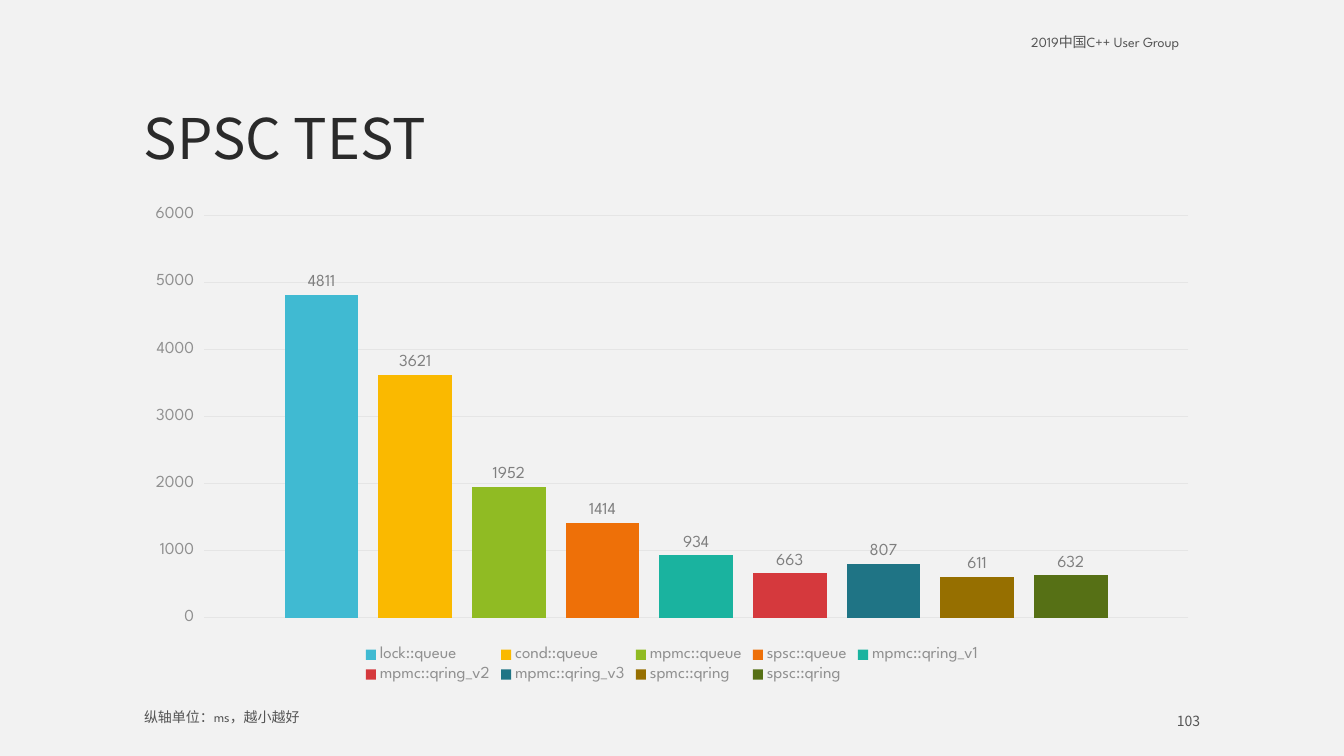
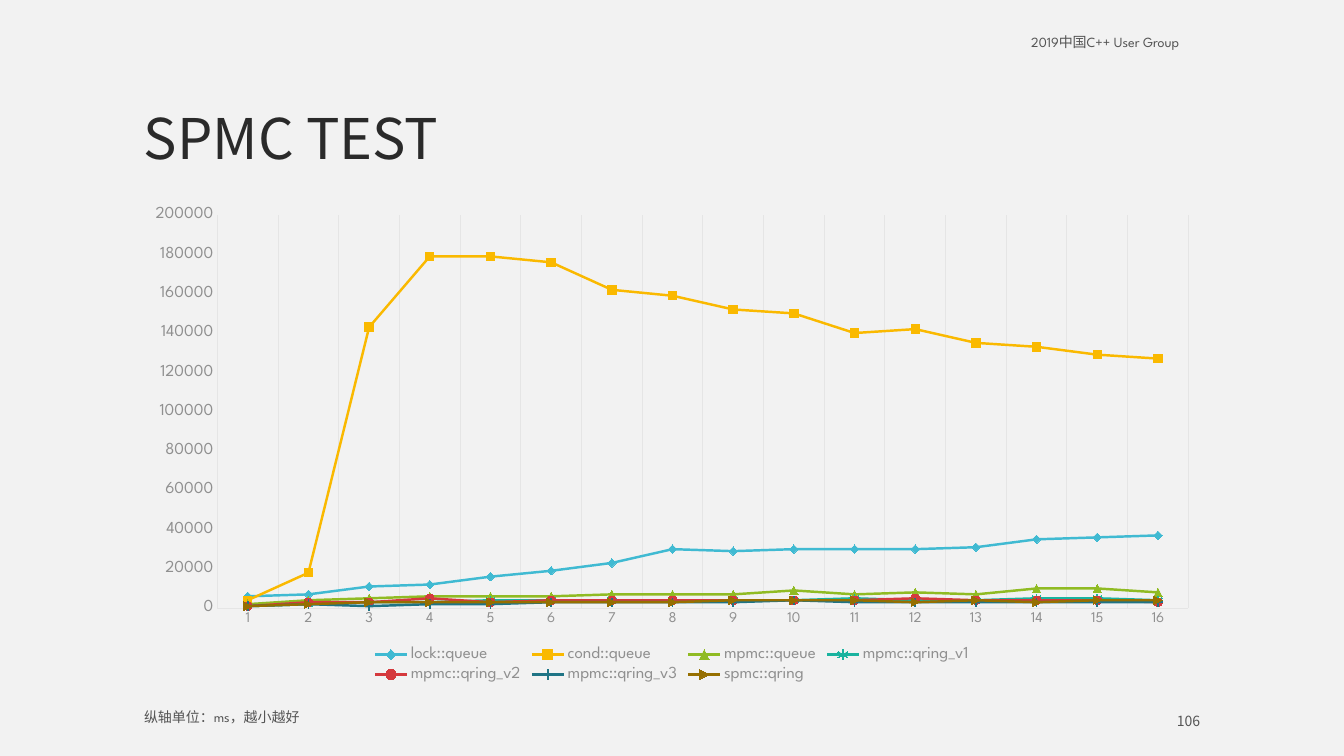
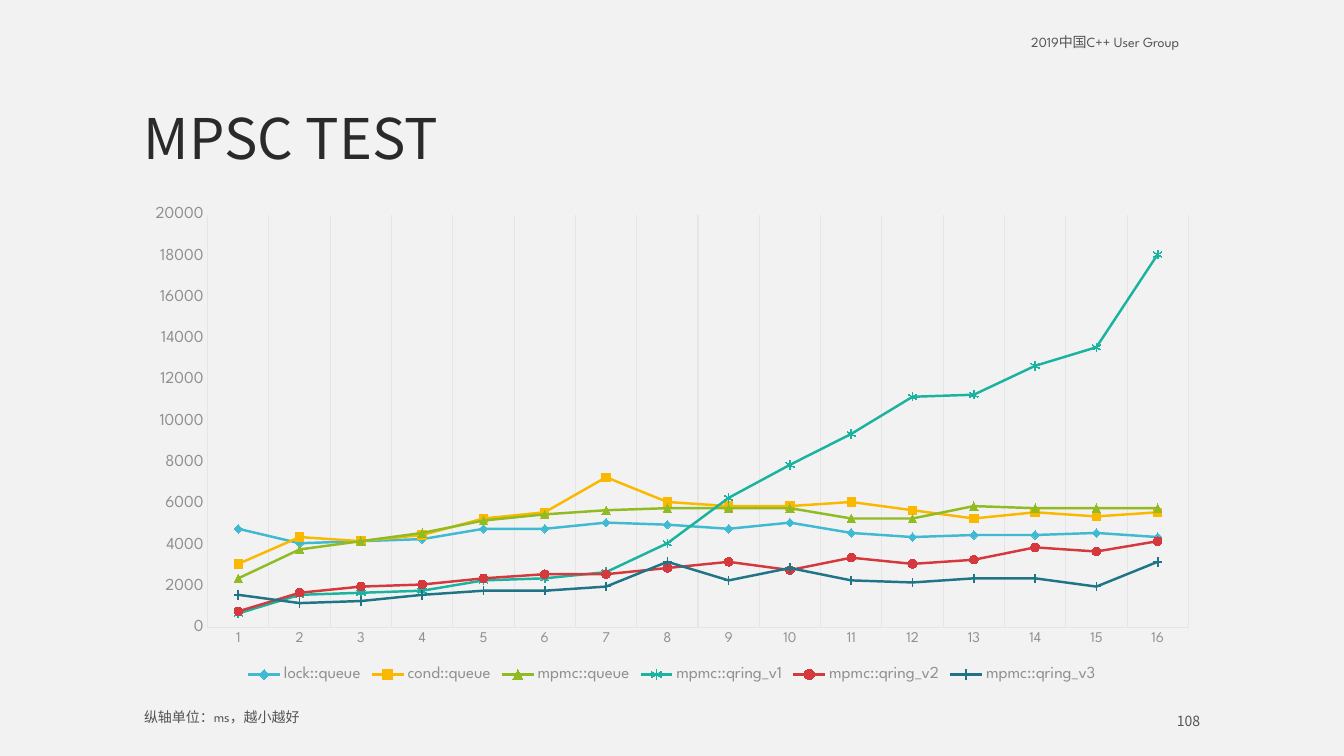
import lxml.etree
import pptx
import pptx.chart.data
import pptx.dml.color
import pptx.enum.chart
import pptx.enum.text
import pptx.oxml.ns
import pptx.util

Inches = pptx.util.Inches
Pt = pptx.util.Pt
MARK = pptx.enum.chart.XL_MARKER_STYLE
TICK = pptx.enum.chart.XL_TICK_MARK
KIND = pptx.enum.chart.XL_CHART_TYPE
ALIGN = pptx.enum.text.PP_ALIGN
ANCHOR = pptx.enum.text.MSO_ANCHOR

COLORS = {
    "back": "F2F2F2", "title": "2A2A2A", "text": "545454",
    "axis": "909090", "label": "7F7F7F", "grid": "E5E5E5",
    "lock::queue": "40BAD2", "cond::queue": "FAB900", "mpmc::queue": "90BB23",
    "spsc::queue": "EE7008", "mpmc::qring_v1": "1AB39F", "mpmc::qring_v2": "D5393D",
    "mpmc::qring_v3": "1F7485", "spmc::qring": "966F00", "spsc::qring": "567015",
}
MARKS = {
    "lock::queue": MARK.DIAMOND, "cond::queue": MARK.SQUARE, "mpmc::queue": MARK.TRIANGLE,
    "mpmc::qring_v1": MARK.STAR, "mpmc::qring_v2": MARK.CIRCLE,
    "mpmc::qring_v3": MARK.PLUS, "spmc::qring": MARK.DOT,
}
LATIN = "League Spartan"
HAN = "Noto Sans CJK SC"

TESTS = [
    {"title": "SPSC TEST", "page": "103", "top": 6000, "step": 1000, "unit": 1, "data": {
        "lock::queue": [4811], "cond::queue": [3621], "mpmc::queue": [1952],
        "spsc::queue": [1414], "mpmc::qring_v1": [934], "mpmc::qring_v2": [663],
        "mpmc::qring_v3": [807], "spmc::qring": [611], "spsc::qring": [632],
    }},
    {"title": "SPMC TEST", "page": "106", "top": 200000, "step": 20000, "unit": 1000, "data": {
        "lock::queue": [6, 7, 11, 12, 16, 19, 23, 30, 29, 30, 30, 30, 31, 35, 36, 37],
        "cond::queue": [4, 18, 143, 179, 179, 176, 162, 159, 152, 150, 140, 142, 135, 133, 129, 127],
        "mpmc::queue": [2, 4, 5, 6, 6, 6, 7, 7, 7, 9, 7, 8, 7, 10, 10, 8],
        "mpmc::qring_v1": [1, 2, 3, 3, 4, 4, 4, 4, 4, 4, 5, 4, 4, 5, 5, 4],
        "mpmc::qring_v2": [1, 3, 3, 5, 3, 4, 4, 4, 4, 4, 4, 5, 4, 4, 4, 3],
        "mpmc::qring_v3": [1, 2, 1, 2, 2, 3, 3, 3, 3, 4, 3, 3, 3, 3, 3, 3],
        "spmc::qring": [1, 2, 3, 3, 3, 3, 3, 3, 4, 4, 4, 3, 4, 3, 4, 4],
    }},
    {"title": "MPSC TEST", "page": "108", "top": 20000, "step": 2000, "unit": 100, "data": {
        "lock::queue": [48, 41, 42, 43, 48, 48, 51, 50, 48, 51, 46, 44, 45, 45, 46, 44],
        "cond::queue": [31, 44, 42, 45, 53, 56, 73, 61, 59, 59, 61, 57, 53, 56, 54, 56],
        "mpmc::queue": [24, 38, 42, 46, 52, 55, 57, 58, 58, 58, 53, 53, 59, 58, 58, 58],
        "mpmc::qring_v1": [7, 16, 17, 18, 23, 24, 27, 41, 63, 79, 94, 112, 113, 127, 136, 181],
        "mpmc::qring_v2": [8, 17, 20, 21, 24, 26, 26, 29, 32, 28, 34, 31, 33, 39, 37, 42],
        "mpmc::qring_v3": [16, 12, 13, 16, 18, 18, 20, 32, 23, 29, 23, 22, 24, 24, 20, 32],
    }},
]


def style(font, size, color, face=LATIN):
    font.size = Pt(size)
    font.name = face
    font.color.rgb = pptx.dml.color.RGBColor.from_string(COLORS[color])


def paint(line, color, width=0.75):
    line.color.rgb = pptx.dml.color.RGBColor.from_string(COLORS[color])
    line.width = Pt(width)


deck = pptx.Presentation()
deck.slide_width = Inches(13.33)
deck.slide_height = Inches(7.5)
back = deck.slide_master.background.fill
back.solid()
back.fore_color.rgb = pptx.dml.color.RGBColor.from_string(COLORS["back"])

for test in TESTS:
    slide = deck.slides.add_slide(deck.slide_layouts[6])

    texts = [
        ("2019中国C++ User Group", (10.13, 0.3, 1.87, 0.25), 10, "text", LATIN, ANCHOR.TOP, ALIGN.LEFT, 0.9),
        (test["title"], (1.33, 0.3, 10.67, 1.45), 40, "title", HAN, ANCHOR.BOTTOM, ALIGN.LEFT, 0.9),
        (test["page"], (10.75, 7.05, 1.25, 0.2), 10, "text", HAN, ANCHOR.MIDDLE, ALIGN.RIGHT, 1.0),
        ("纵轴单位：ms，越小越好", (1.33, 7, 1.79, 0.25), 10, "text", LATIN, ANCHOR.TOP, ALIGN.LEFT, 0.9),
    ]
    for words, place, size, color, face, anchor, align, space in texts:
        frame = slide.shapes.add_textbox(*map(Inches, place)).text_frame
        frame.word_wrap = True
        frame.vertical_anchor = anchor
        para = frame.paragraphs[0]
        para.alignment = align
        para.line_spacing = space
        run = para.add_run()
        run.text = words
        style(run.font, size, color, face)
        props = run._r.get_or_add_rPr()
        lxml.etree.SubElement(props, pptx.oxml.ns.qn("a:ea"), typeface=HAN)

    data = pptx.chart.data.CategoryChartData()
    count = len(test["data"]["lock::queue"])
    bars = count == 1
    data.categories = [str(n + 1) for n in range(count)]
    for name, vals in test["data"].items():
        data.add_series(name, [val * test["unit"] for val in vals])
    kind = KIND.COLUMN_CLUSTERED if bars else KIND.LINE_MARKERS
    place = map(Inches, (1.33, 1.96, 10.67, 4.85))
    chart = slide.shapes.add_chart(kind, *place, data).chart
    chart.has_title = False
    style(chart.font, 10, "text")
    chart.has_legend = True
    chart.legend.position = pptx.enum.chart.XL_LEGEND_POSITION.BOTTOM
    chart.legend.include_in_layout = False
    style(chart.legend.font, 12, "axis")

    cat = chart.category_axis
    val = chart.value_axis
    val.minimum_scale = 0
    val.maximum_scale = test["top"]
    val.major_unit = test["step"]
    style(val.tick_labels.font, 12, "axis")
    val.has_major_gridlines = bars
    cat.has_major_gridlines = not bars
    grid = val if bars else cat
    paint(grid.major_gridlines.format.line, "grid")
    plot = chart.plots[0]
    plot.vary_by_categories = False
    if bars:
        cat.visible = False
        val.major_tick_mark = TICK.OUTSIDE
        val.format.line.fill.background()
        plot.gap_width = 219
        plot.overlap = -27
    else:
        style(cat.tick_labels.font, 10.6, "axis")
        for axis in (cat, val):
            axis.major_tick_mark = TICK.NONE
            paint(axis.format.line, "grid")

    for part in plot.series:
        tone = pptx.dml.color.RGBColor.from_string(COLORS[part.name])
        if bars:
            part.format.fill.solid()
            part.format.fill.fore_color.rgb = tone
            tags = part.data_labels
            tags.show_value = True
            tags.position = pptx.enum.chart.XL_LABEL_POSITION.OUTSIDE_END
            style(tags.font, 12, "label")
        else:
            part.smooth = False
            paint(part.format.line, part.name, 1.75)
            mark = part.marker
            mark.style = MARKS[part.name]
            mark.size = 6
            paint(mark.format.line, part.name)
            if mark.style in (MARK.STAR, MARK.PLUS):
                mark.format.fill.background()
            else:
                mark.format.fill.solid()
                mark.format.fill.fore_color.rgb = tone

deck.save("out.pptx")
